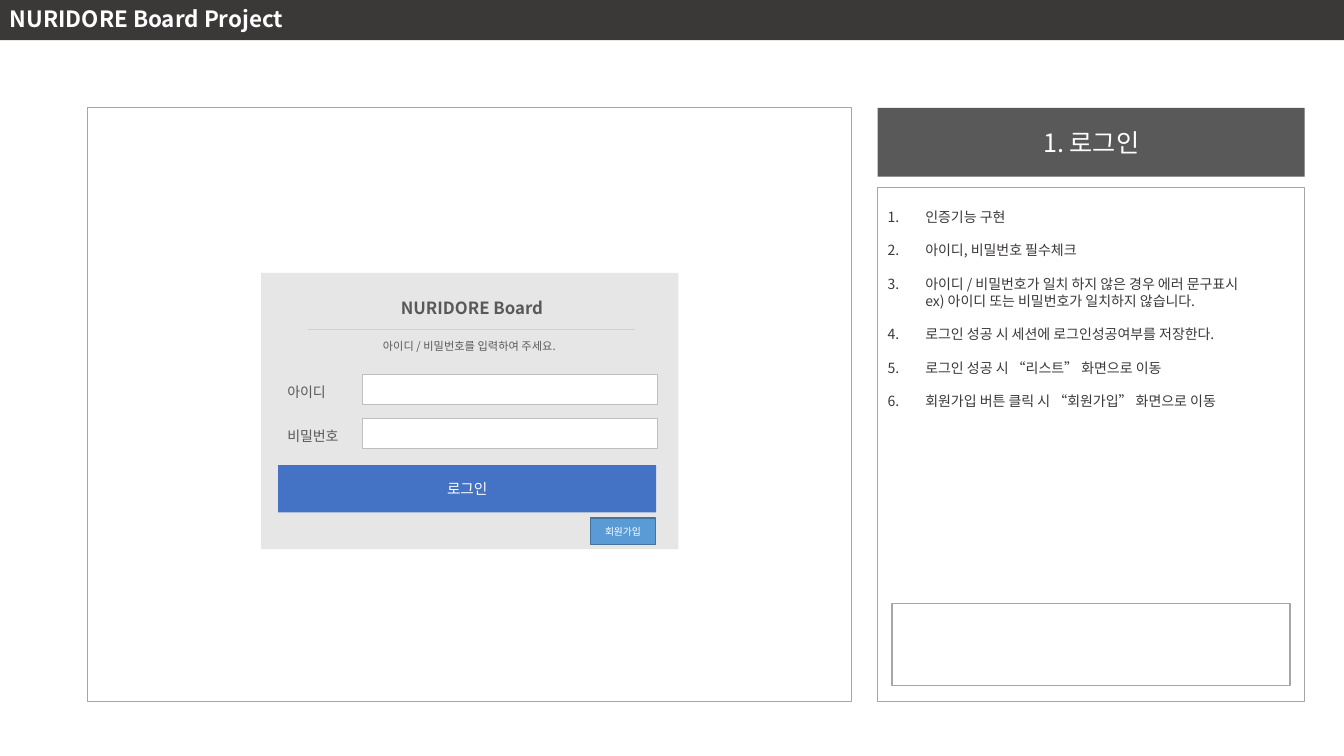
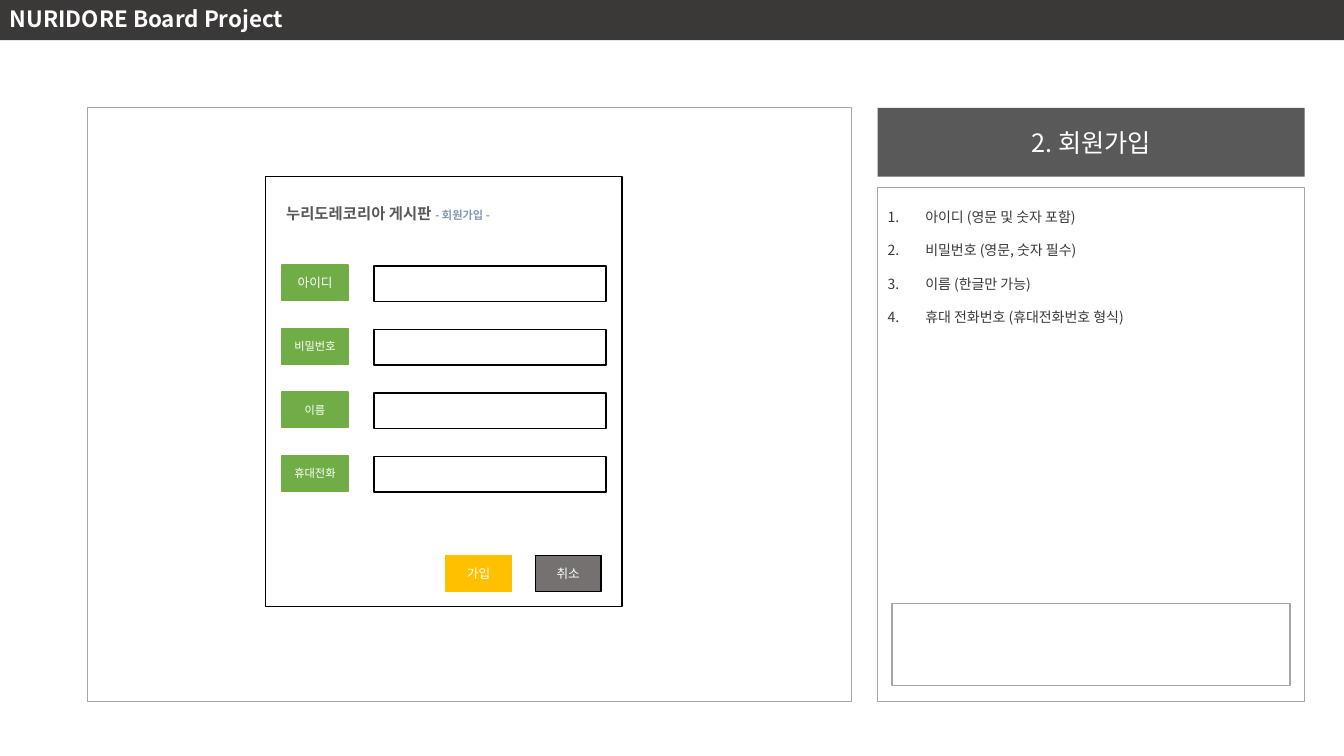
from lxml.etree import SubElement
from pptx import Presentation
from pptx.dml.color import RGBColor
from pptx.enum.shapes import MSO_CONNECTOR, MSO_SHAPE
from pptx.enum.text import MSO_ANCHOR, PP_ALIGN
from pptx.oxml.ns import qn
from pptx.util import Cm, Pt

FONT = "Noto Sans CJK KR"
WHITE = RGBColor(0xFF, 0xFF, 0xFF)
BLACK = RGBColor(0x00, 0x00, 0x00)
INK = RGBColor(0x3B, 0x38, 0x38)
GRAY = RGBColor(0x59, 0x59, 0x59)
FRAME = RGBColor(0xA6, 0xA6, 0xA6)
PANEL = RGBColor(0xE7, 0xE6, 0xE6)
FIELD_EDGE = RGBColor(0xBF, 0xBF, 0xBF)
RULE = RGBColor(0xD0, 0xCE, 0xCE)
BLUE = RGBColor(0x44, 0x72, 0xC4)
SKY = RGBColor(0x5B, 0x9B, 0xD5)
SKY_EDGE = RGBColor(0x43, 0x73, 0x9E)
GREEN = RGBColor(0x70, 0xAD, 0x47)
AMBER = RGBColor(0xFF, 0xC0, 0x00)
STONE = RGBColor(0x76, 0x71, 0x71)
SLATE = RGBColor(0x84, 0x97, 0xB0)

PROJECT = "NURIDORE Board Project"
LOGIN_TITLE = "1. 로그인"
LOGIN_NOTES = [
    "인증기능 구현",
    "아이디, 비밀번호 필수체크",
    "아이디 / 비밀번호가 일치 하지 않은 경우 에러 문구표시\nex) 아이디 또는 비밀번호가 일치하지 않습니다.",
    "로그인 성공 시 세션에 로그인성공여부를 저장한다.",
    "로그인 성공 시 “리스트” 화면으로 이동",
    "회원가입 버튼 클릭 시 “회원가입” 화면으로 이동",
]
LOGIN_BOARD = "NURIDORE Board"
LOGIN_HINT = "아이디 / 비밀번호를 입력하여 주세요."
LOGIN_FIELDS = ["아이디", "비밀번호"]

JOIN_TITLE = "2. 회원가입"
JOIN_NOTES = [
    "아이디 (영문 및 숫자 포함)",
    "비밀번호 (영문, 숫자 필수)",
    "이름 (한글만 가능)",
    "휴대 전화번호 (휴대전화번호 형식)",
]
JOIN_HEADING = [
    ("누리도레코리아 게시판 ", 11, GRAY),
    ("- 회원가입 -", 8, SLATE),
]
JOIN_FIELDS = [("아이디", 9), ("비밀번호", 8), ("이름", 8), ("휴대전화", 8)]
JOIN_BUTTONS = [
    ("가입", 11.23, AMBER, AMBER),
    ("취소", 13.49, STONE, BLACK),
]


def apply(target, values):
    for name, value in values.items():
        setattr(target, name, value)


def add_run(paragraph, text, size, color, bold=False):
    run = paragraph.add_run()
    run.text = text
    apply(run.font, {"name": FONT, "size": Pt(size), "bold": bold})
    run.font.color.rgb = color
    SubElement(run.font._element, qn("a:ea"), typeface=FONT)


def add_box(shapes, place, fill=None, line=None, width=1):
    shape = shapes.add_shape(MSO_SHAPE.RECTANGLE, *map(Cm, place))
    shape.shadow.inherit = False
    if fill is None:
        shape.fill.background()
    else:
        shape.fill.solid()
        shape.fill.fore_color.rgb = fill
    if line is None:
        shape.line.fill.background()
    else:
        shape.line.color.rgb = line
        shape.line.width = Pt(width)
    return shape


def add_label(shape, text, size, color=WHITE, bold=False, align=PP_ALIGN.CENTER):
    frame = shape.text_frame
    apply(frame, {"word_wrap": True, "vertical_anchor": MSO_ANCHOR.MIDDLE})
    if align == PP_ALIGN.CENTER:
        apply(frame, {"margin_left": 0, "margin_right": 0})
    frame.paragraphs[0].alignment = align
    add_run(frame.paragraphs[0], text, size, color, bold)


def add_text(shapes, place, runs, bold=False, align=PP_ALIGN.LEFT):
    frame = shapes.add_textbox(*map(Cm, place)).text_frame
    frame.word_wrap = True
    frame.paragraphs[0].alignment = align
    for text, size, color in runs:
        add_run(frame.paragraphs[0], text, size, color, bold)


def add_notes(shape, notes):
    frame = shape.text_frame
    apply(frame, {"word_wrap": True, "vertical_anchor": MSO_ANCHOR.TOP, "margin_top": Cm(0.53)})
    for index, note in enumerate(notes):
        paragraph = frame.add_paragraph() if index else frame.paragraphs[0]
        apply(paragraph, {"alignment": PP_ALIGN.LEFT, "line_spacing": Pt(12), "space_after": Pt(12)})
        properties = paragraph._p.get_or_add_pPr()
        properties.set("marL", str(Cm(0.95)))
        properties.set("indent", str(-Cm(0.95)))
        SubElement(properties, qn("a:buFont"), typeface=FONT)
        SubElement(properties, qn("a:buAutoNum"), type="arabicPeriod")
        for number, part in enumerate(note.split("\n")):
            if number:
                paragraph.add_line_break()
            add_run(paragraph, part, 10, INK)


def add_page(presentation, title, notes):
    shapes = presentation.slides.add_slide(presentation.slide_layouts[6]).shapes
    add_box(shapes, (2.21, 2.72, 19.25, 14.96), WHITE, FRAME, 0.75)
    add_notes(add_box(shapes, (22.12, 4.72, 10.76, 12.95), WHITE, FRAME, 0.5), notes)
    add_label(add_box(shapes, (22.12, 2.72, 10.76, 1.73), GRAY), title, 18)
    band = add_box(shapes, (0, -0.08, 33.87, 1.09), INK)
    add_label(band, PROJECT, 16, bold=True, align=PP_ALIGN.LEFT)
    add_box(shapes, (22.48, 15.21, 10.03, 2.06), WHITE, FRAME)
    return shapes


def add_login(shapes):
    panel = shapes.add_group_shape().shapes
    add_box(panel, (6.58, 6.88, 10.52, 6.96), PANEL)
    for index, name in enumerate(LOGIN_FIELDS):
        top = 9.43 + 1.11 * index
        add_box(panel, (9.14, top, 7.42, 0.76), WHITE, FIELD_EDGE, 0.75)
        add_text(panel, (6.99, top + 0.1, 2.41, 0.79), [(name, 10, GRAY)])
    add_label(add_box(panel, (7.01, 11.72, 9.53, 1.19), BLUE), "로그인", 10.5)
    add_text(panel, (7.26, 7.37, 9.27, 0.89), [(LOGIN_BOARD, 12, GRAY)], True, PP_ALIGN.CENTER)
    rule = panel.add_connector(MSO_CONNECTOR.STRAIGHT, Cm(7.77), Cm(8.31), Cm(16), Cm(8.31))
    rule.line.color.rgb = RULE
    rule.line.width = Pt(0.5)
    SubElement(rule._element.spPr, qn("a:effectLst"))
    add_text(panel, (9.4, 8.42, 6.02, 0.69), [(LOGIN_HINT, 8, GRAY)])
    add_label(add_box(shapes, (14.88, 13.05, 1.64, 0.67), SKY, SKY_EDGE), "회원가입", 7)


def add_join(shapes):
    add_box(shapes, (6.69, 4.45, 8.99, 10.84), line=BLACK)
    add_text(shapes, (6.96, 5.02, 6.35, 0.74), JOIN_HEADING, True)
    for index, (name, size) in enumerate(JOIN_FIELDS):
        top = 6.68 + 1.6 * index
        add_label(add_box(shapes, (7.11, top, 1.66, 0.9), GREEN, GREEN), name, size)
        add_box(shapes, (9.43, top + 0.02, 5.84, 0.9), line=BLACK)
    for name, left, fill, line in JOIN_BUTTONS:
        add_label(add_box(shapes, (left, 14, 1.66, 0.9), fill, line), name, 9)


def main():
    presentation = Presentation()
    apply(presentation, {"slide_width": Cm(33.87), "slide_height": Cm(19.05)})
    add_login(add_page(presentation, LOGIN_TITLE, LOGIN_NOTES))
    add_join(add_page(presentation, JOIN_TITLE, JOIN_NOTES))
    presentation.save("out.pptx")


if __name__ == "__main__":
    main()
